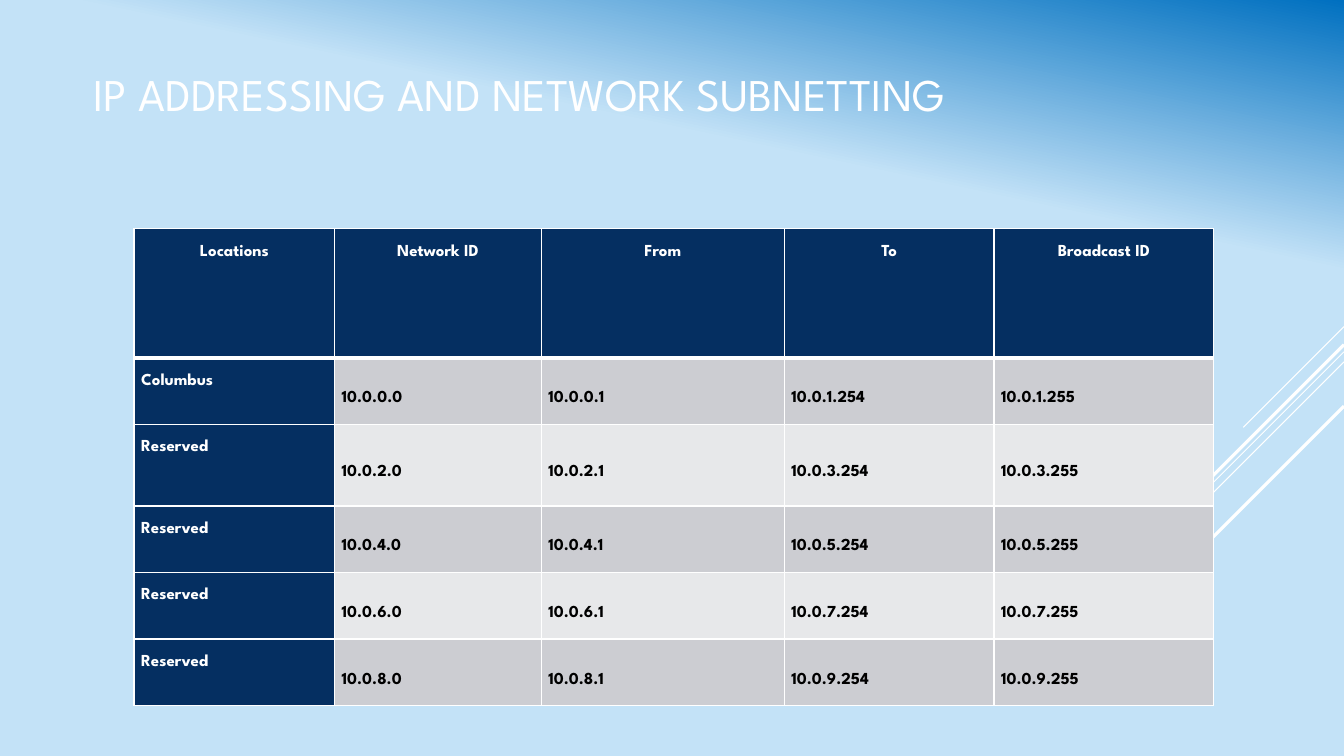
"""Build the IP addressing and network subnetting slide."""
from lxml.etree import SubElement
from pptx import Presentation
from pptx.dml.color import RGBColor
from pptx.enum.shapes import MSO_CONNECTOR
from pptx.enum.text import MSO_ANCHOR, PP_ALIGN
from pptx.oxml.ns import qn
from pptx.util import Inches, Pt

FONT = "League Spartan"
WHITE = RGBColor(0xFF, 0xFF, 0xFF)
BLACK = RGBColor(0x00, 0x00, 0x00)
NAVY = RGBColor(0x05, 0x2F, 0x61)
BLUE = RGBColor(0x00, 0x70, 0xC0)
PALE_BLUE = RGBColor(0xC3, 0xE2, 0xF7)
DARK_BAND = RGBColor(0xCC, 0xCD, 0xD2)
LIGHT_BAND = RGBColor(0xE7, 0xE8, 0xEA)

SLIDE_WIDTH = 13.33
RAYS = [(3.24, 1.0, 0.75), (3.49, 3.26, 0.75), (3.59, 2.08, 0.75),
        (3.42, 1.91, 2.25), (4.03, 1.39, 2.25)]
HEADINGS = ["Locations", "Network ID", "From", "To", "Broadcast ID"]
LOCATIONS = ["Columbus", "Reserved", "Reserved", "Reserved", "Reserved"]
COLUMN_WIDTHS = [1.99, 2.05, 2.41, 2.08, 2.18]
ROW_HEIGHTS = [1.28, 0.66, 0.81, 0.66, 0.66, 0.66]


def paint_background(page):
    """Fill the page with the slanted blue gradient."""
    fill = page.background.fill
    fill.gradient()
    fill.gradient_angle = 258
    stops = [(0, BLUE), (0.26, PALE_BLUE)]
    for stop, (position, color) in zip(fill.gradient_stops, stops):
        stop.position = position
        stop.color.rgb = color


def add_ray(page, top, reach, weight):
    """Draw a 45-degree line down and left from the right edge."""
    ray = page.shapes.add_connector(
        MSO_CONNECTOR.STRAIGHT, Inches(SLIDE_WIDTH), Inches(top),
        Inches(SLIDE_WIDTH - reach), Inches(top + reach))
    ray.line.color.rgb = WHITE
    ray.line.width = Pt(weight)
    SubElement(ray._element.spPr, qn("a:effectLst"))


def write_text(frame, text, size=12, color=WHITE, bold=False,
               align=PP_ALIGN.LEFT, spacing=1.0):
    """Put one formatted paragraph in a text frame."""
    para = frame.paragraphs[0]
    para.alignment = align
    para.line_spacing = spacing
    span = para.add_run()
    span.text = text
    span.font.name = FONT
    span.font.size = Pt(size)
    span.font.bold = bold
    span.font.color.rgb = color


def add_title(page, text):
    """Add the title, raised above the middle of its box."""
    box = page.shapes.add_textbox(Inches(0.83), Inches(0.33), Inches(9.33), Inches(1.65))
    frame = box.text_frame
    frame.word_wrap = True
    frame.vertical_anchor = MSO_ANCHOR.MIDDLE
    frame.margin_bottom = Inches(0.5)
    write_text(frame, text, size=32.4)


def set_borders(cell, top=1, bottom=1):
    """Give a cell white borders of the given weights."""
    properties = cell._tc.get_or_add_tcPr()
    for side, weight in (("L", 1), ("R", 1), ("T", top), ("B", bottom)):
        line = SubElement(properties, qn(f"a:ln{side}"), w=str(Pt(weight)))
        fill = SubElement(line, qn("a:solidFill"))
        SubElement(fill, qn("a:srgbClr"), val=str(WHITE))


def fill_cell(cell, text, fill, anchor=MSO_ANCHOR.TOP, top=1, bottom=1, **text_format):
    """Set the borders, fill and text of a table cell."""
    set_borders(cell, top, bottom)
    cell.fill.solid()
    cell.fill.fore_color.rgb = fill
    cell.margin_left = cell.margin_right = Inches(0.07)
    cell.margin_top = cell.margin_bottom = 0
    cell.vertical_anchor = anchor
    write_text(cell.text_frame, text, bold=True, spacing=2.0, **text_format)


def subnet_addresses(index):
    """Return network, first, last and broadcast addresses of a /23 subnet."""
    low = 2 * index
    high = low + 1
    return [f"10.0.{low}.0", f"10.0.{low}.1", f"10.0.{high}.254", f"10.0.{high}.255"]


def add_subnet_table(page):
    """Add the table of subnets by location."""
    table = page.shapes.add_table(
        len(ROW_HEIGHTS), len(COLUMN_WIDTHS), Inches(1.33), Inches(2.27),
        Inches(sum(COLUMN_WIDTHS)), Inches(sum(ROW_HEIGHTS))).table
    table.horz_banding = False
    for column, width in zip(table.columns, COLUMN_WIDTHS):
        column.width = Inches(width)
    for row, height in zip(table.rows, ROW_HEIGHTS):
        row.height = Inches(height)
    for column, heading in enumerate(HEADINGS):
        fill_cell(table.cell(0, column), heading, NAVY, bottom=3, align=PP_ALIGN.CENTER)
    for index, location in enumerate(LOCATIONS):
        row = index + 1
        top = 3 if index == 0 else 1
        band = LIGHT_BAND if index % 2 else DARK_BAND
        fill_cell(table.cell(row, 0), location, NAVY, top=top)
        for column, address in enumerate(subnet_addresses(index), start=1):
            fill_cell(table.cell(row, column), address, band,
                      anchor=MSO_ANCHOR.MIDDLE, top=top, color=BLACK)


def main():
    """Build and save the deck."""
    deck = Presentation()
    deck.slide_width = Inches(SLIDE_WIDTH)
    deck.slide_height = Inches(7.5)
    page = deck.slides.add_slide(deck.slide_layouts[6])
    paint_background(page)
    for top, reach, weight in RAYS:
        add_ray(page, top, reach, weight)
    add_title(page, "IP ADDRESSING AND NETWORK SUBNETTING")
    add_subnet_table(page)
    deck.save("out.pptx")


if __name__ == "__main__":
    main()
